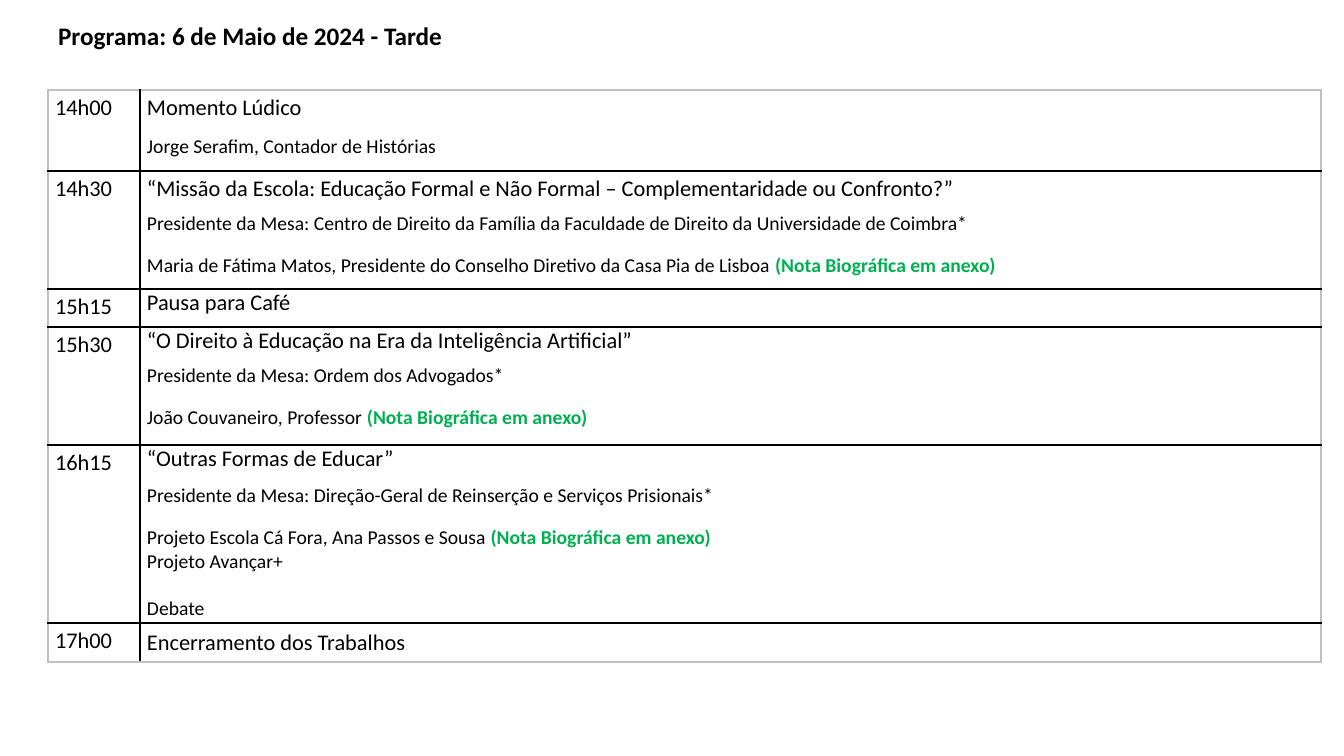
"""Build the programme slide for the afternoon of 6 May 2024."""
from lxml.etree import SubElement
from pptx import Presentation
from pptx.dml.color import RGBColor
from pptx.enum.text import MSO_ANCHOR, MSO_AUTO_SIZE, PP_ALIGN
from pptx.oxml.ns import qn
from pptx.util import Pt

PX = 914400 / 100.8
FONT = "Calibri"
BLACK = RGBColor(0x00, 0x00, 0x00)
GREEN = RGBColor(0x00, 0xB0, 0x50)
GREY = RGBColor(0xBF, 0xBF, 0xBF)
NOTE = "(Nota Biográfica em anexo)"
COLUMNS = (92, 1181)

# Each session: time, row height, line spacing of its heading,
# then its lines as (text, size, space before, has note).
SESSIONS = [
    ("14h00", 81, 1.15, [
        ("Momento Lúdico", 16, 0, False),
        ("Jorge Serafim, Contador de Histórias", 14, 7, False)]),
    ("14h30", 118, 1.15, [
        ("“Missão da Escola: Educação Formal e Não Formal – "
         "Complementaridade ou Confronto?”", 16, 0, False),
        ("Presidente da Mesa: Centro de Direito da Família da Faculdade "
         "de Direito da Universidade de Coimbra*", 14, 7, False),
        ("Maria de Fátima Matos, Presidente do Conselho Diretivo da "
         "Casa Pia de Lisboa ", 14, 13, True)]),
    ("15h15", 38, 1, [("Pausa para Café", 16, 0, False)]),
    ("15h30", 118, 1, [
        ("“O Direito à Educação na Era da Inteligência Artificial”",
         16, 0, False),
        ("Presidente da Mesa: Ordem dos Advogados*", 14, 7, False),
        ("João Couvaneiro, Professor ", 14, 13, True)]),
    ("16h15", 178, 1, [
        ("“Outras Formas de Educar”", 16, 0, False),
        ("Presidente da Mesa: Direção-Geral de Reinserção e Serviços "
         "Prisionais*", 14, 8, False),
        ("Projeto Escola Cá Fora, Ana Passos e Sousa ", 14, 13, True),
        ("Projeto Avançar+", 14, 0, False),
        ("Debate", 14, 17, False)]),
    ("17h00", 39, 1, [("Encerramento dos Trabalhos", 16, 0, False)]),
]


def px(n):
    """Turn pixels into EMU."""
    return round(n * PX)


def set_font(font, size, color=BLACK, bold=False):
    """Format a paragraph or run font."""
    font.name, font.size, font.bold = FONT, Pt(size), bold
    font.color.rgb = color


def add_title(s, text):
    """Place and format the slide title."""
    title = s.shapes.title
    title.left, title.top, title.width, title.height = map(
        px, (48, 15, 706, 40))
    tf = title.text_frame
    tf.text = text
    tf.vertical_anchor = MSO_ANCHOR.TOP
    tf.auto_size = MSO_AUTO_SIZE.SHAPE_TO_FIT_TEXT
    p = tf.paragraphs[0]
    p.alignment = PP_ALIGN.LEFT
    set_font(p.font, 18, bold=True)


def add_border(cell, side, color, width):
    """Draw one side of a cell."""
    ln = SubElement(cell._tc.get_or_add_tcPr(), qn(f"a:ln{side}"),
                    w=str(Pt(width)))
    fill = SubElement(ln, qn("a:solidFill"))
    SubElement(fill, qn("a:srgbClr"), val=str(color))


def format_cell(cell, row, col):
    """Set insets, borders and fill by the cell's place in the grid."""
    cell.margin_left = cell.margin_right = px(7)
    cell.margin_top = cell.margin_bottom = 0
    last = len(SESSIONS) - 1
    outer = {"L": col == 0, "R": col == 1, "T": row == 0, "B": row == last}
    heavy = {"T": row == 1, "B": row == 0}
    for side, is_outer in outer.items():
        add_border(cell, side, GREY if is_outer else BLACK,
                   1.5 if heavy.get(side) else 1)
    cell.fill.background()


def write_lines(cell, lines, heading_spacing, body_spacing=1):
    """Write a cell's paragraphs, with the green note where it belongs."""
    tf = cell.text_frame
    for i, (text, size, before, has_note) in enumerate(lines):
        p = tf.add_paragraph() if i else tf.paragraphs[0]
        p.line_spacing = body_spacing if i else heading_spacing
        p.space_before = Pt(before)
        p.alignment = PP_ALIGN.LEFT
        set_font(p.font, size)
        p.add_run().text = text
        if has_note:
            r = p.add_run()
            r.text = NOTE
            set_font(r.font, size, GREEN, True)


def add_programme(s):
    """Add the table of sessions."""
    heights = [height for _, height, _, _ in SESSIONS]
    table = s.shapes.add_table(
        len(SESSIONS), len(COLUMNS), px(48), px(90),
        px(sum(COLUMNS)), px(sum(heights))).table
    table.first_row = table.horz_banding = False
    for column, width in zip(table.columns, COLUMNS):
        column.width = px(width)
    for i, (time, height, spacing, lines) in enumerate(SESSIONS):
        table.rows[i].height = px(height)
        time_cell, session_cell = table.cell(i, 0), table.cell(i, 1)
        for col, cell in enumerate((time_cell, session_cell)):
            format_cell(cell, i, col)
        write_lines(time_cell, [(time, 16, 0, False)], 1.15)
        write_lines(session_cell, lines, spacing, 1.15 if i == 0 else 1)
    session_cell.vertical_anchor = MSO_ANCHOR.MIDDLE


def main():
    """Build and save the slide."""
    prs = Presentation()
    prs.slide_width, prs.slide_height = px(1344), px(756)
    s = prs.slides.add_slide(prs.slide_layouts[5])
    add_title(s, "Programa: 6 de Maio de 2024 - Tarde")
    add_programme(s)
    prs.save("out.pptx")


if __name__ == "__main__":
    main()
